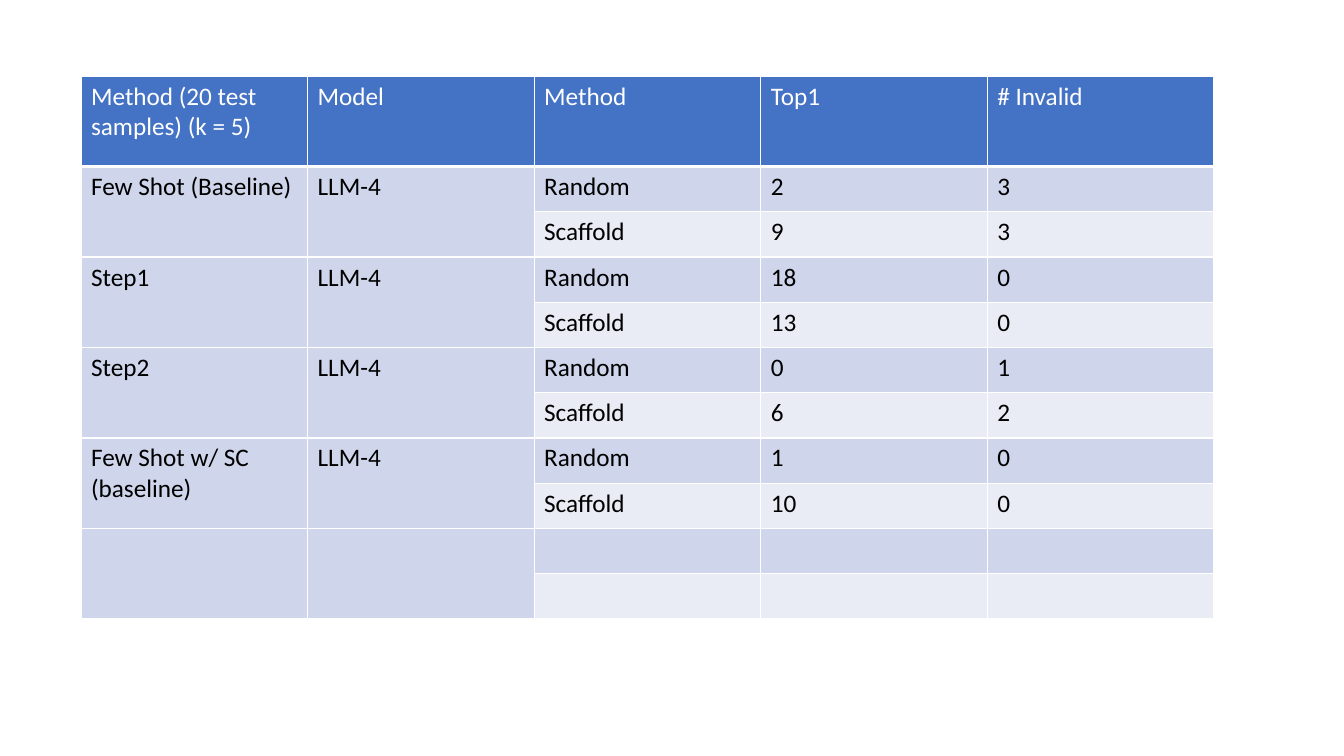
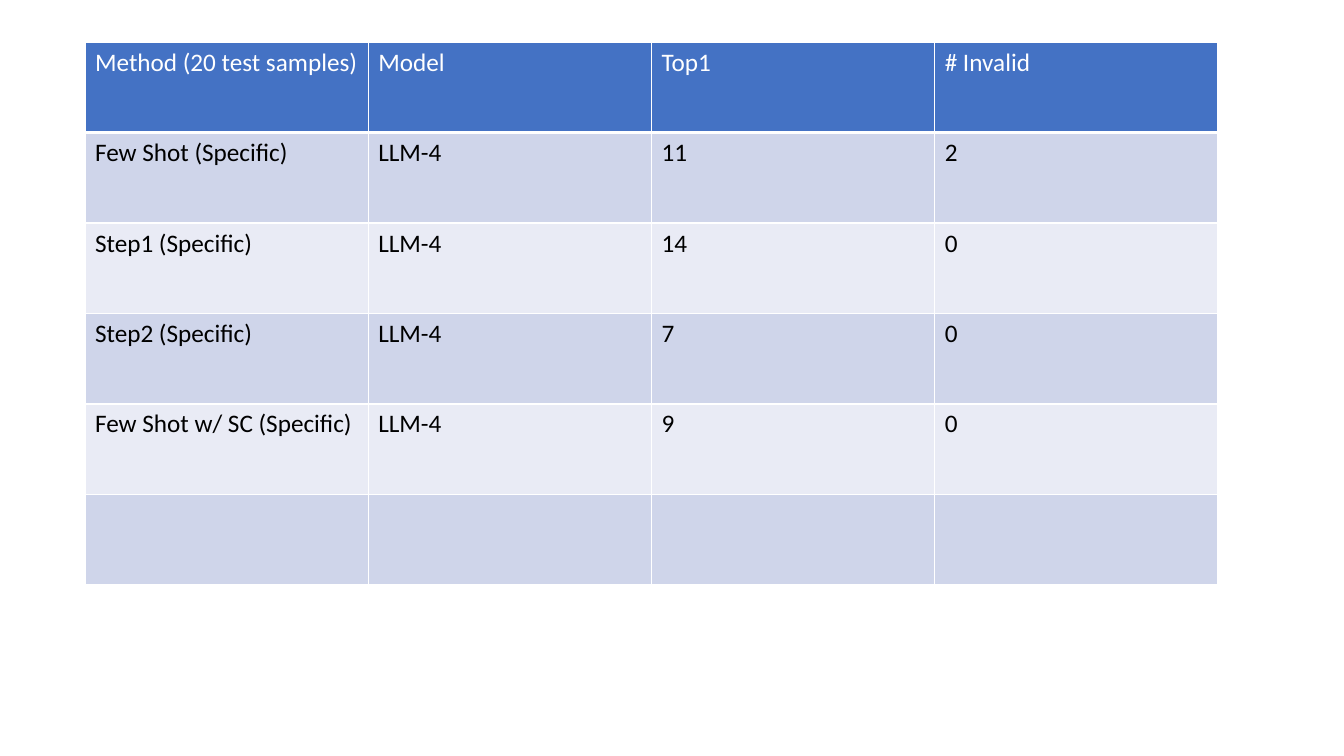
from dataclasses import dataclass

from lxml.etree import SubElement
from pptx import Presentation
from pptx.dml.color import RGBColor
from pptx.oxml.ns import qn
from pptx.presentation import Presentation as Deck
from pptx.table import _Cell as Cell
from pptx.util import Emu, Pt

# Shared look
EMU_PER_PIXEL = 914400 / 100.8
PAGE_WIDTH, PAGE_HEIGHT = 1344, 756
TABLE_WIDTH, TABLE_HEIGHT = 1133, 543
FONT_NAME, FONT_SIZE = "Calibri", 18
HEADER_FILL, DARK_BAND, LIGHT_BAND = "4472C4", "CFD5EA", "E9EBF5"
WHITE, BLACK = "FFFFFF", "000000"
THIN_BORDER, HEADER_BORDER = 1, 3
MODEL = "LLM-4"


@dataclass(frozen=True)
class ResultTable:
    left: int
    top: int
    header: list[str]
    body: list[list[str]]
    header_units: int = 1  # header height, counted in body rows
    merged_columns: int = 0  # leading columns that join each pair of body rows


def pixels(length: float) -> Emu:
    return Emu(round(length * EMU_PER_PIXEL))


def color(hex_value: str) -> RGBColor:
    return RGBColor.from_string(hex_value)


def set_borders(cell: Cell, bottom_width: int) -> None:
    properties = cell._tc.get_or_add_tcPr()
    widths = {"lnL": THIN_BORDER, "lnR": THIN_BORDER, "lnT": THIN_BORDER, "lnB": bottom_width}
    for position, (side, width) in enumerate(widths.items()):
        line = SubElement(properties, qn(f"a:{side}"), w=str(Pt(width)))
        fill = SubElement(line, qn("a:solidFill"))
        SubElement(fill, qn("a:srgbClr"), val=WHITE)
        properties.insert(position, line)  # borders go before the fill


def fill_cell(cell: Cell, text: str, fill: str, text_color: str, bottom_width: int) -> None:
    cell.fill.solid()
    cell.fill.fore_color.rgb = color(fill)
    set_borders(cell, bottom_width)
    para = cell.text_frame.paragraphs[0]
    para.font.size = Pt(FONT_SIZE)
    if text:
        span = para.add_run()
        span.text = text
        span.font.name = FONT_NAME
        span.font.size = Pt(FONT_SIZE)
        span.font.bold = False
        span.font.color.rgb = color(text_color)


def add_result_page(deck: Deck, result: ResultTable) -> None:
    page = deck.slides.add_slide(deck.slide_layouts[6])
    rows = [result.header, *result.body]
    column_count = len(result.header)
    table = page.shapes.add_table(
        len(rows), column_count,
        pixels(result.left), pixels(result.top), pixels(TABLE_WIDTH), pixels(TABLE_HEIGHT),
    ).table
    table.horz_banding = False

    # Even grid
    unit = TABLE_HEIGHT / (result.header_units + len(result.body))
    for column in table.columns:
        column.width = pixels(TABLE_WIDTH / column_count)
    for index, row in enumerate(table.rows):
        row.height = pixels(unit if index else unit * result.header_units)

    # Header and banded body
    for row_index, texts in enumerate(rows):
        for column_index, text in enumerate(texts):
            cell = table.cell(row_index, column_index)
            if row_index == 0:
                fill_cell(cell, text, HEADER_FILL, WHITE, HEADER_BORDER)
            else:
                band = DARK_BAND if row_index % 2 else LIGHT_BAND
                fill_cell(cell, text, band, BLACK, THIN_BORDER)

    # Joined row pairs
    for row_index in range(1, len(rows), 2):
        for column_index in range(result.merged_columns):
            table.cell(row_index, column_index).merge(table.cell(row_index + 1, column_index))


SPLIT_RESULTS = ResultTable(
    left=81, top=76, header_units=2, merged_columns=2,
    header=["Method (20 test samples) (k = 5)", "Model", "Method", "Top1", "# Invalid"],
    body=[
        ["Few Shot (Baseline)", MODEL, "Random", "2", "3"],
        ["", "", "Scaffold", "9", "3"],
        ["Step1 ", MODEL, "Random", "18", "0"],
        ["", "", "Scaffold", "13", "0"],
        ["Step2", MODEL, "Random", "0", "1"],
        ["", "", "Scaffold", "6", "2"],
        ["Few Shot w/ SC (baseline)", MODEL, "Random", "1", "0"],
        ["", "", "Scaffold", "10", "0"],
        [""] * 5,
        [""] * 5,
    ],
)

SPECIFIC_RESULTS = ResultTable(
    left=85, top=42,
    header=["Method (20 test samples)", "Model", "Top1", "# Invalid"],
    body=[
        ["Few Shot (Specific)", MODEL, "11", "2"],
        ["Step1 (Specific)", MODEL, "14", "0"],
        ["Step2 (Specific)", MODEL, "7", "0"],
        ["Few Shot w/ SC (Specific)", MODEL, "9", "0"],
        [""] * 4,
    ],
)


def main() -> None:
    deck = Presentation()
    deck.slide_width = pixels(PAGE_WIDTH)
    deck.slide_height = pixels(PAGE_HEIGHT)
    for result in (SPLIT_RESULTS, SPECIFIC_RESULTS):
        add_result_page(deck, result)
    deck.save("out.pptx")


main()
